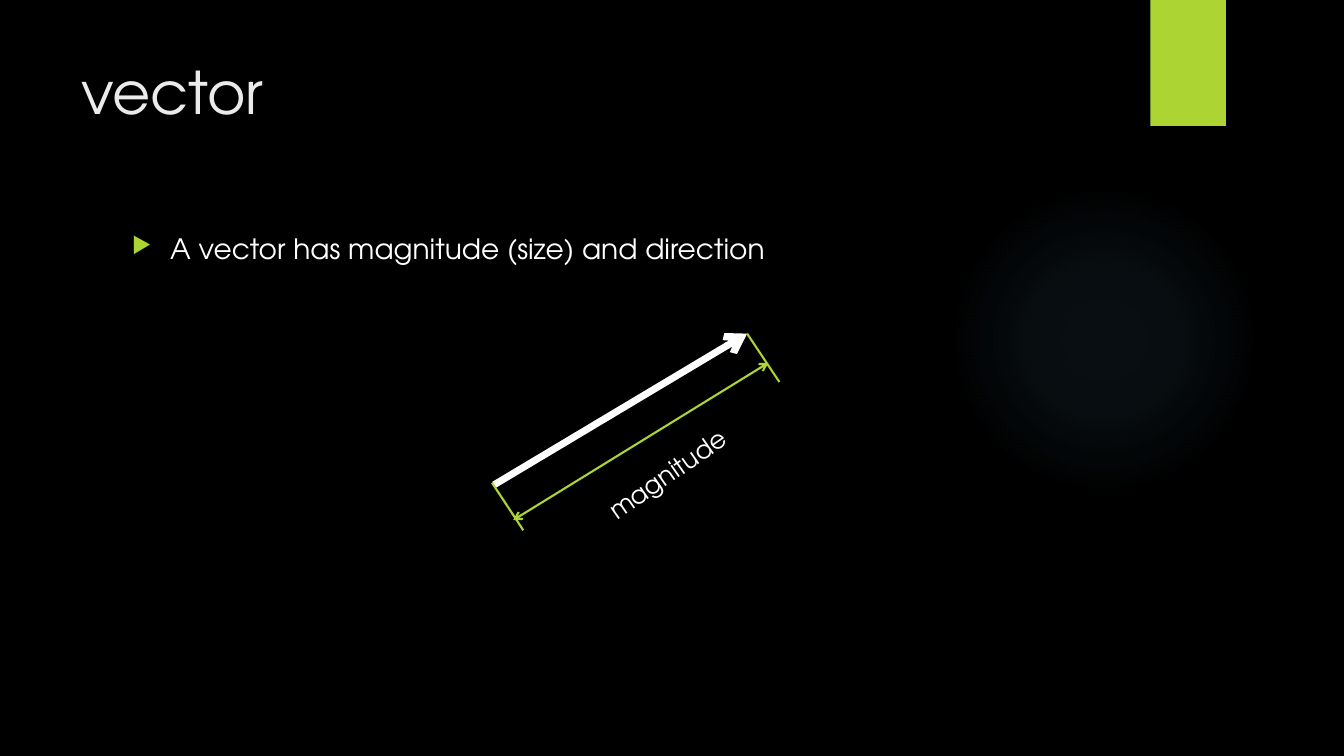
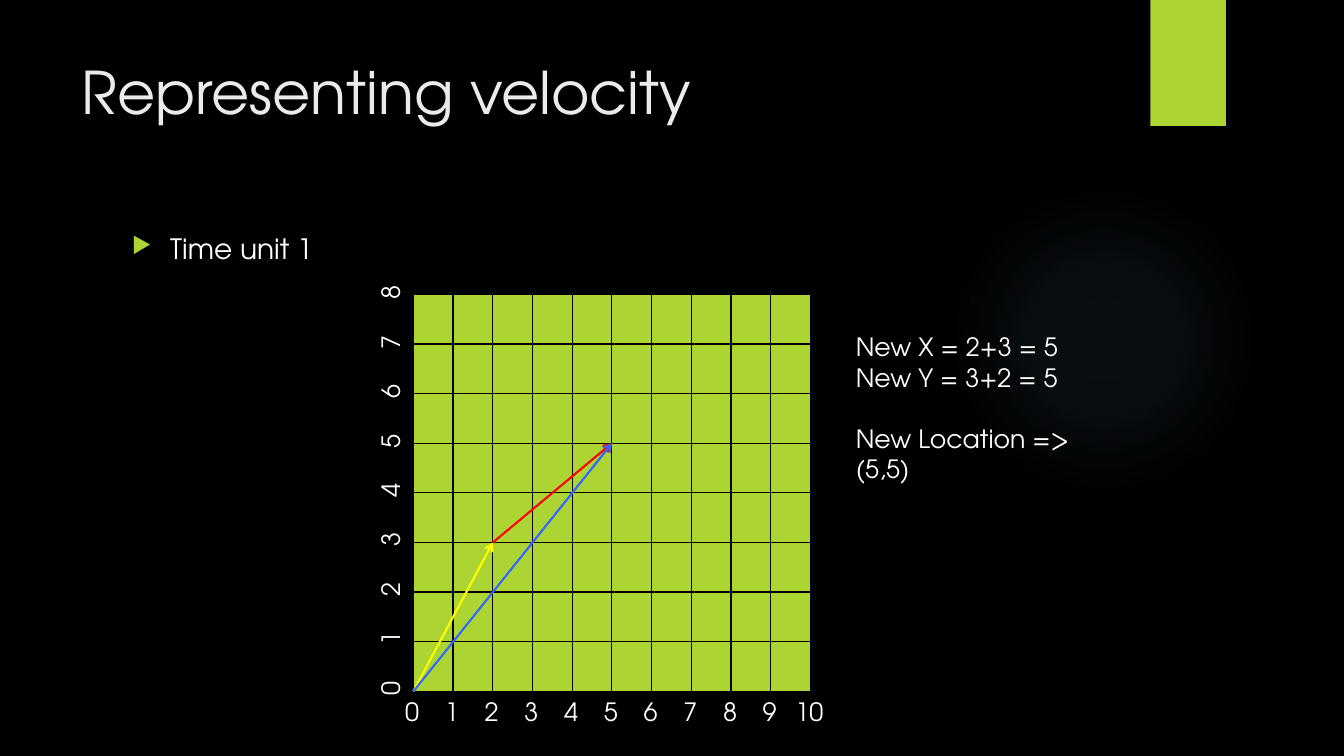
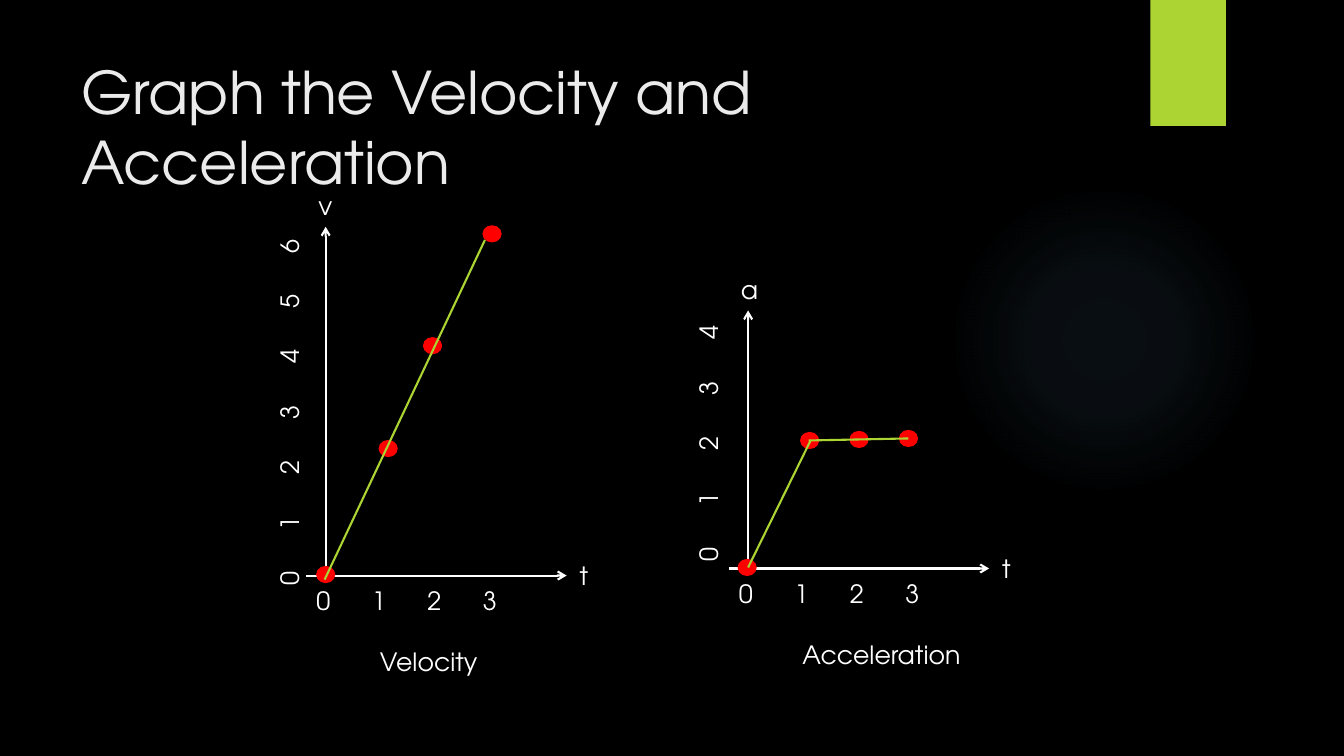
from dataclasses import dataclass

from lxml import etree
from pptx import Presentation
from pptx import util as u
from pptx.dml.color import RGBColor
from pptx.enum import shapes, text
from pptx.oxml import parse_xml
from pptx.oxml.ns import nsdecls, qn


@dataclass(frozen=True)
class Theme:
    font: str = "TeX Gyre Adventor"
    background: str = "000000"
    accent: str = "ACD433"
    glow: str = "7AC4F0"
    heading: str = "EBEBEB"
    body: str = "FFFFFF"
    location: str = "FFFF00"
    velocity: str = "FF0000"
    result: str = "3366FF"
    point: str = "FF0000"
    heading_size: int = 42
    bullet_size: int = 20
    label_size: int = 18
    thin: float = 1.5
    thick: float = 5


theme = Theme()


def add_text(slide, box, lines, size=theme.label_size, color=theme.body,
             rotation=0, align=text.PP_ALIGN.LEFT, pitch=0, bullet=False):
    """Add a text box; pitch spaces tabbed axis numbers, bullet marks each line."""
    holder = slide.shapes.add_textbox(*map(u.Inches, box))
    holder.rotation = rotation
    frame = holder.text_frame
    frame.word_wrap = True
    frame.text = "\n".join(lines)
    for paragraph in frame.paragraphs:
        paragraph.alignment = align
        font_format = {"name": theme.font, "size": u.Pt(size)}
        for run in paragraph.runs:
            for name, value in font_format.items():
                setattr(run.font, name, value)
            run.font.color.rgb = RGBColor.from_string(color)
        properties = paragraph._p.get_or_add_pPr()
        if bullet:
            hang = u.Inches(0.38)
            properties.set("marL", str(hang))
            properties.set("indent", str(-hang))
            bullet_color = etree.SubElement(properties, qn("a:buClr"))
            etree.SubElement(bullet_color, qn("a:srgbClr"), val=theme.accent)
            etree.SubElement(properties, qn("a:buSzPct"), val="80000")
            etree.SubElement(properties, qn("a:buChar"), char="▶")
        if pitch:
            stops = etree.SubElement(properties, qn("a:tabLst"))
            for step in range(1, lines[0].count("\t") + 1):
                position = u.Inches(0.07 + step * pitch)
                etree.SubElement(stops, qn("a:tab"), pos=str(position), algn="ctr")
    return frame


def add_line(slide, start, end, color, width=theme.thin, head=False, tail=False):
    """Draw a straight line with optional arrowheads at start (head) and end (tail)."""
    line = slide.shapes.add_connector(
        shapes.MSO_CONNECTOR.STRAIGHT, *map(u.Inches, (*start, *end)))
    line.line.color.rgb = RGBColor.from_string(color)
    line.line.width = u.Pt(width)
    properties = line._element.spPr
    outline = properties.find(qn("a:ln"))
    for tag, wanted in (("a:headEnd", head), ("a:tailEnd", tail)):
        if wanted:
            etree.SubElement(outline, qn(tag), type="arrow")
    etree.SubElement(properties, qn("a:effectLst"))


prs = Presentation()
prs.slide_width = u.Inches(13.33)
prs.slide_height = u.Inches(7.5)
backdrop = prs.slide_master.background.fill
backdrop.solid()
backdrop.fore_color.rgb = RGBColor.from_string(theme.background)

# Shared decoration, title and bullet
pages = []
for title, point in [
    ("vector", "A vector has magnitude (size) and direction"),
    ("Representing velocity", "Time unit 1"),
    ("Graph the Velocity and Acceleration", None),
]:
    page = prs.slides.add_slide(prs.slide_layouts[6])
    glow = page.shapes.add_shape(
        shapes.MSO_SHAPE.OVAL, *map(u.Inches, (9.41, 1.83, 3.08, 3.08)))
    stops = "".join(
        f'<a:gs pos="{place * 1000}"><a:srgbClr val="{theme.glow}">'
        f'<a:alpha val="{alpha * 1000}"/></a:srgbClr></a:gs>'
        for place, alpha in ((0, 7), (36, 6), (69, 0), (100, 0)))
    glow._element.spPr.find(qn("a:prstGeom")).addnext(parse_xml(
        f'<a:gradFill {nsdecls("a")}><a:gsLst>{stops}</a:gsLst><a:path path="circle">'
        '<a:fillToRect l="50000" t="50000" r="50000" b="50000"/></a:path></a:gradFill>'))
    band = page.shapes.add_shape(
        shapes.MSO_SHAPE.RECTANGLE, *map(u.Inches, (11.41, 0, 0.75, 1.25)))
    band.fill.solid()
    band.fill.fore_color.rgb = RGBColor.from_string(theme.accent)
    for decoration in (glow, band):
        decoration.line.fill.background()
        decoration.shadow.inherit = False
    add_text(page, (0.71, 0.5, 10.29, 1.53), [title], theme.heading_size, theme.heading)
    if point:
        add_text(page, (1.21, 2.25, 9.78, 4.59), [point], theme.bullet_size, bullet=True)
    pages.append(page)
vector_page, grid_page, graph_page = pages

# Vector with its magnitude dimension
add_line(vector_page, (4.9, 4.81), (7.41, 3.31), theme.body, theme.thick, tail=True)
add_line(vector_page, (5.09, 5.16), (7.62, 3.6), theme.accent, head=True, tail=True)
add_line(vector_page, (7.41, 3.31), (7.73, 3.79), theme.accent)
add_line(vector_page, (4.88, 4.79), (5.19, 5.26), theme.accent)
add_text(vector_page, (5.84, 4.5, 1.56, 0.4), ["magnitude"], rotation=325.2,
         align=text.PP_ALIGN.CENTER)

# Grid of unit steps with the vectors added on it
columns, rows, side = 10, 8, 3.94
grid_left, grid_top = 4.1, 2.92
grid_bottom = grid_top + side
grid = grid_page.shapes.add_table(
    rows, columns, *map(u.Inches, (grid_left, grid_top, side, side))).table
grid.first_row = grid.horz_banding = False
for column in grid.columns:
    column.width = u.Inches(side / columns)
for row in grid.rows:
    row.height = u.Inches(side / rows)
for cell in grid.iter_cells():
    properties = cell._tc.get_or_add_tcPr()
    for edge in ("a:lnL", "a:lnR", "a:lnT", "a:lnB"):
        border = etree.SubElement(properties, qn(edge), w=str(u.Pt(1)))
        paint = etree.SubElement(border, qn("a:solidFill"))
        etree.SubElement(paint, qn("a:srgbClr"), val=theme.background)
    cell.fill.solid()
    cell.fill.fore_color.rgb = RGBColor.from_string(theme.accent)

add_text(grid_page, (3.92, grid_bottom, 4.47, 0.4),
         ["\t".join(map(str, range(columns + 1)))], pitch=side / columns)
add_text(grid_page, (1.71, 4.63, 4.33, 0.4),
         ["\t".join(map(str, range(rows + 1)))], rotation=270, pitch=0.49)

for start, end, color in [
    ((0, 0), (2, 3), theme.location),
    ((2, 3), (5, 5), theme.velocity),
    ((0, 0), (5, 5), theme.result),
]:
    ends = [(grid_left + x * side / columns, grid_bottom - y * side / rows)
            for x, y in (start, end)]
    add_line(grid_page, *ends, color, tail=True)

sums = add_text(grid_page, (8.39, 3.24, 2.89, 1.31),
                ["New X = 2+3 = 5", "New Y = 3+2 = 5", "New Location => (5,5)"])
sums.paragraphs[-1].space_before = u.Pt(22)

# Velocity and acceleration graphs over time
graphs = [
    {"name": "Velocity", "letter": "v", "left": 3.04, "base": 5.71, "top": 2.25,
     "highest": 6, "scale": (0.98, 3.82, 3.78, 0.4),
     "points": [(3.14, 5.62), (3.76, 4.37), (4.2, 3.35), (4.79, 2.24)],
     "segments": [((3.22, 5.75), (4.81, 2.38))]},
    {"name": "Acceleration", "letter": "a", "left": 7.23, "base": 5.64, "top": 3.08,
     "highest": 4, "scale": (5.7, 4.14, 2.66, 0.4),
     "points": [(7.32, 5.55), (7.94, 4.29), (8.43, 4.28), (8.92, 4.27)],
     "segments": [((7.42, 5.63), (8.04, 4.37)), ((8.02, 4.37), (9.01, 4.35))]},
]
tick = 0.55
for graph in graphs:
    left, base, top = graph["left"], graph["base"], graph["top"]
    axis = left + 0.19
    add_line(graph_page, (axis, base + 0.05), (axis, top), theme.body, tail=True)
    add_line(graph_page, (left, base), (left + 2.58, base), theme.body, tail=True)
    add_text(graph_page, (left, base + 0.05, 2.52, 0.4),
             ["\t".join(map(str, range(4)))], pitch=tick)
    add_text(graph_page, graph["scale"],
             ["\t".join(map(str, range(graph["highest"] + 1)))], rotation=270, pitch=tick)
    add_text(graph_page, (left + 0.63, base + 0.65, 1.8, 0.4), [graph["name"]])
    add_text(graph_page, (left + 0.02, top - 0.41, 0.37, 0.4), [graph["letter"]])
    add_text(graph_page, (left + 2.61, base - 0.2, 0.29, 0.4), ["t"])
    for x, y in graph["points"]:
        dot = graph_page.shapes.add_shape(
            shapes.MSO_SHAPE.OVAL, *map(u.Inches, (x, y, 0.18, 0.16)))
        dot.shadow.inherit = False
        dot.fill.solid()
        dot.line.width = u.Pt(0.75)
        for paint in (dot.fill.fore_color, dot.line.color):
            paint.rgb = RGBColor.from_string(theme.point)
    for start, end in graph["segments"]:
        add_line(graph_page, start, end, theme.accent)

prs.save("out.pptx")
